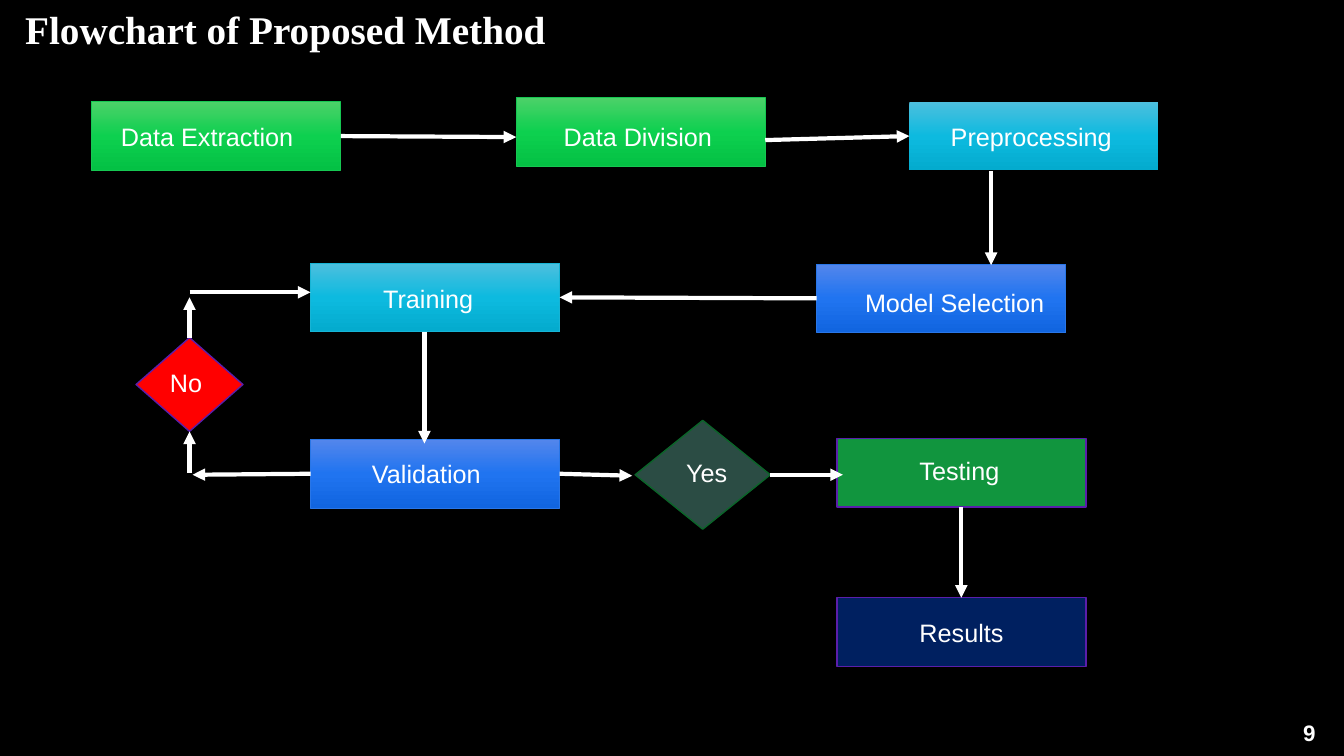
from dataclasses import dataclass

from lxml.etree import SubElement
from pptx import Presentation
from pptx.dml.color import RGBColor
from pptx.enum.shapes import MSO_CONNECTOR as Link, MSO_SHAPE as Preset
from pptx.enum.text import MSO_ANCHOR as Anchor, PP_ALIGN as Align
from pptx.oxml.ns import qn
from pptx.util import Inches, Pt


@dataclass(frozen=True)
class Theme:
    back: str = "000000"
    ink: str = "FFFFFF"
    title_font: str = "Times New Roman"
    font: str = "Arial"
    title_size: int = 28
    label_size: int = 18
    number_size: int = 16
    arrow_width: int = 3


@dataclass(frozen=True)
class Style:
    fill: tuple
    line: str = ""
    width: float = 0.5


THEME = Theme()
STEP_SIZE = (2.47, 0.68)
TOP, LEFT, BOTTOM, RIGHT = range(4)

GREEN = Style(("4CD169", "0DD04F", "04C144"), "16C752")
CYAN_PLAIN = Style(("4DBFDE", "0DBADF", "04ABCE"))
CYAN = Style(CYAN_PLAIN.fill, "17B4D5")
BLUE = Style(("5386EC", "2074F0", "1165E0"), "2976E7")
FOREST = Style(("11953E",), "5A1EAB", 1)
NAVY = Style(("002060",), "5A1EAB", 1)
SLATE = Style(("2B4C44",), "0B6429", 1)
RED = Style(("FF0000",), "5A1EAB", 1)

# Label, left, top, style, label inset from the left and from the top
STEPS = [
    ("Data Extraction", 0.91, 1.01, GREEN, 0.29, 0.19),
    ("Data Division", 5.12, 0.97, GREEN, 0.47, 0.23),
    ("Preprocessing", 9.02, 1.01, CYAN_PLAIN, 0.41, 0.19),
    ("Training", 3.08, 2.61, CYAN, 0.72, 0.2),
    ("Model Selection", 8.1, 2.62, BLUE, 0.48, 0.23),
    ("Testing", 8.3, 4.35, FOREST, 0.82, 0.17),
    ("Results", 8.3, 5.93, NAVY, 0.82, 0.19),
    ("Validation", 3.08, 4.36, BLUE, 0.61, 0.19),
]

# Label, box, style, label insets within the diamond's text area
DECISIONS = [
    ("Yes", (6.3, 4.17, 1.34, 1.08), SLATE, 0.17, 0.1),
    ("No", (1.35, 3.35, 1.06, 0.93), RED, 0.07, 0.06),
]

# An end is either a (label, side) to join or a free (x, y) point
ARROWS = [
    (("Data Extraction", RIGHT), (5.12, 1.36)),
    ((7.59, 1.39), ("Preprocessing", LEFT)),
    ((9.83, 1.7), (9.83, 2.63)),
    (("Model Selection", LEFT), ("Training", RIGHT)),
    ((4.21, 3.29), (4.21, 4.4)),
    (("Validation", RIGHT), (6.27, 4.72)),
    (("Yes", RIGHT), (8.36, 4.71)),
    (("Testing", BOTTOM), ("Results", TOP)),
    (("Validation", LEFT), (1.91, 4.71)),
    ((1.88, 4.69), ("No", BOTTOM)),
    (("No", TOP), (1.88, 2.95)),
    ((1.88, 2.9), (3.08, 2.9)),
]


def rgb(code):
    return RGBColor.from_string(code)


def write(frame, text, size, font=THEME.font, bold=False, align=Align.LEFT):
    frame.word_wrap = True
    para = frame.paragraphs[0]
    para.text = text
    para.alignment = align
    span = para.runs[0].font
    span.name, span.size, span.bold = font, Pt(size), bold
    span.color.rgb = rgb(THEME.ink)


def paint(shape, style):
    if len(style.fill) == 1:
        shape.fill.solid()
        shape.fill.fore_color.rgb = rgb(style.fill[0])
    else:
        shape.fill.gradient()
        shape.fill.gradient_angle = 270  # light at the top, dark at the bottom
        stops = shape._element.spPr.find(".//" + qn("a:gsLst"))
        for stop in list(stops):
            stops.remove(stop)
        for index, code in enumerate(style.fill):
            position = 100000 * index // (len(style.fill) - 1)
            stop = SubElement(stops, qn("a:gs"), pos=str(position))
            SubElement(stop, qn("a:srgbClr"), val=code)
    if style.line:
        shape.line.color.rgb = rgb(style.line)
        shape.line.width = Pt(style.width)
    else:
        shape.line.fill.background()


def add_node(page, preset, box, label, style, inset_left, inset_top):
    shape = page.shapes.add_shape(preset, *map(Inches, box))
    shape.shadow.inherit = False
    paint(shape, style)
    frame = shape.text_frame
    frame.vertical_anchor = Anchor.TOP
    frame.margin_left, frame.margin_top = Inches(inset_left), Inches(inset_top)
    frame.margin_right = frame.margin_bottom = 0
    write(frame, label, THEME.label_size)
    return shape


def add_arrow(page, nodes, start, end):
    free = [(0, 0) if point[0] in nodes else point for point in (start, end)]
    arrow = page.shapes.add_connector(
        Link.STRAIGHT, *(Inches(value) for point in free for value in point))
    for point, join in ((start, arrow.begin_connect), (end, arrow.end_connect)):
        if point[0] in nodes:
            join(nodes[point[0]], point[1])
    arrow.line.color.rgb = rgb(THEME.ink)
    arrow.line.width = Pt(THEME.arrow_width)
    SubElement(arrow.line._get_or_add_ln(), qn("a:tailEnd"), type="triangle")
    SubElement(arrow._element.spPr, qn("a:effectLst"))


def add_title(page, box, text):
    title = page.shapes.title
    title.left, title.top, title.width, title.height = map(Inches, box)
    title.text_frame.vertical_anchor = Anchor.TOP
    write(title.text_frame, text, THEME.title_size, THEME.title_font, True)


def add_page_number(page, box, text):
    frame = page.shapes.add_textbox(*map(Inches, box)).text_frame
    frame.vertical_anchor = Anchor.MIDDLE
    write(frame, text, THEME.number_size, bold=True, align=Align.CENTER)


def add_flowchart(page, left, top):
    """Draw the chart with its origin at the given point."""
    def shift(point):
        return point if isinstance(point[0], str) else (left + point[0], top + point[1])

    nodes = {}
    # Steps
    for label, x, y, style, *insets in STEPS:
        box = (left + x, top + y, *STEP_SIZE)
        nodes[label] = add_node(page, Preset.RECTANGLE, box, label, style, *insets)
    # Decisions
    for label, (x, y, *size), style, *insets in DECISIONS:
        box = (left + x, top + y, *size)
        nodes[label] = add_node(page, Preset.DIAMOND, box, label, style, *insets)
    # Arrows
    for start, end in ARROWS:
        add_arrow(page, nodes, shift(start), shift(end))


def main():
    deck = Presentation()
    deck.slide_width, deck.slide_height = Inches(13.33), Inches(7.5)
    page = deck.slides.add_slide(deck.slide_layouts[5])
    page.background.fill.solid()
    page.background.fill.fore_color.rgb = rgb(THEME.back)
    add_title(page, (0.15, 0, 5.65, 0.57), "Flowchart of Proposed Method")
    add_flowchart(page, 0, 0)
    add_page_number(page, (12.64, 7.03, 0.69, 0.47), "9")
    deck.save("out.pptx")


if __name__ == "__main__":
    main()
